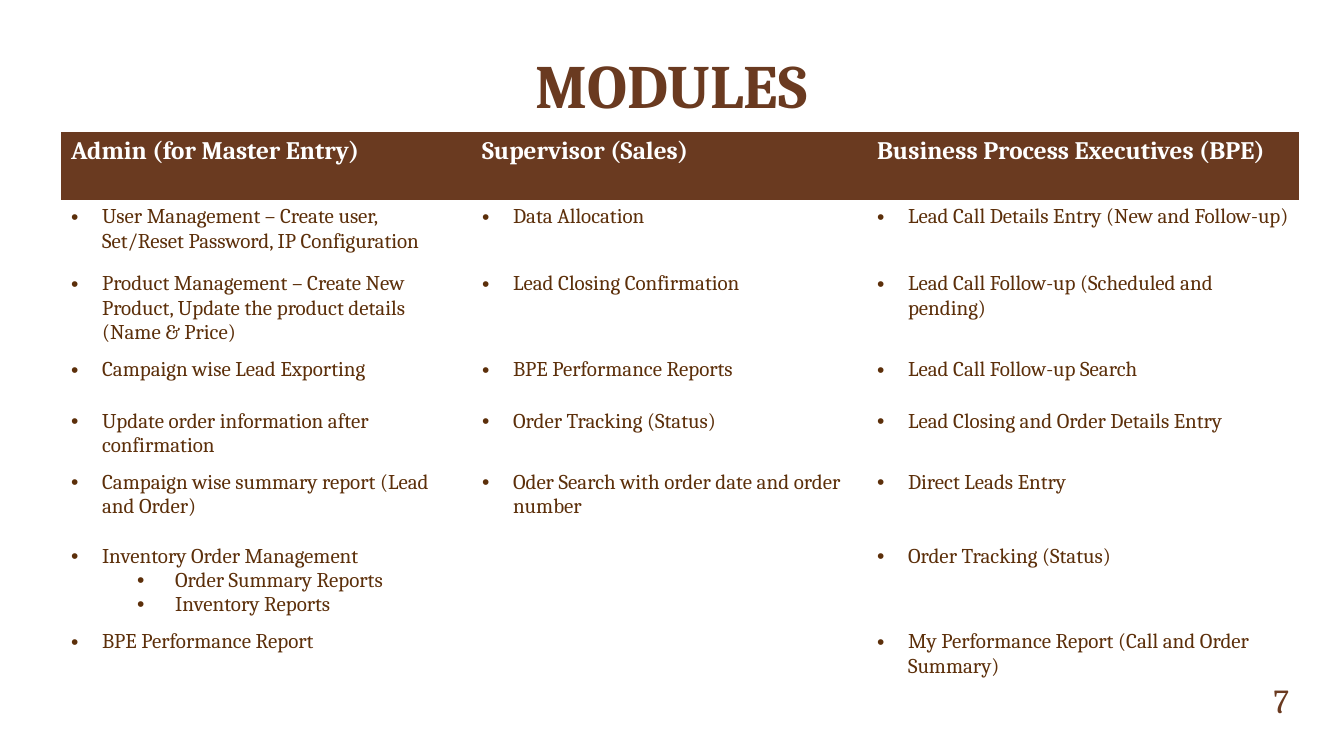
from lxml.etree import SubElement
from pptx import Presentation
from pptx.dml.color import RGBColor
from pptx.enum.text import MSO_ANCHOR, PP_ALIGN
from pptx.oxml.ns import qn
from pptx.util import Emu, Pt

TITLE = "MODULES"
PAGE_NUMBER = "7"
ROLES = ["Admin (for Master Entry)", "Supervisor (Sales)", "Business Process Executives (BPE)"]
# One row of modules per line; a tuple holds a module followed by its sub-modules.
MODULES = [
    ["User Management – Create user, Set/Reset Password, IP Configuration",
     "Data Allocation", "Lead Call Details Entry (New and Follow-up)"],
    ["Product Management – Create New Product, Update the product details (Name & Price)",
     "Lead Closing Confirmation", "Lead Call Follow-up (Scheduled and pending)"],
    ["Campaign wise Lead Exporting", "BPE Performance Reports", "Lead Call Follow-up Search"],
    ["Update order information after confirmation",
     "Order Tracking (Status)", "Lead Closing and Order Details Entry"],
    ["Campaign wise summary report (Lead and Order)",
     "Oder Search with order date and order number", "Direct Leads Entry"],
    [("Inventory Order Management", "Order Summary Reports", "Inventory Reports"),
     "", "Order Tracking (Status)"],
    ["BPE Performance Report", "", "My Performance Report (Call and Order Summary)"],
]

PX = 9071.43  # EMU per px at 100.8 px to the inch
COLUMN_WIDTHS = [411, 395, 432]
ROW_HEIGHTS = [68, 67, 83, 52, 58, 74, 83, 74]
TABLE_LEFT, TABLE_TOP = 61, 132
BULLET_INDENTS = [(31, 31), (104, 38)]  # left margin and hanging indent by level
NO_STYLE = "{2D5ABB26-0587-4C30-8999-92F81FD0307C}"

BROWN, DARK_BROWN, WHITE = "6A3A20", "5C2F0A", "FFFFFF"
TITLE_FORMAT = {"size": Pt(44), "bold": True}
ROLE_FORMAT = {"size": Pt(18), "bold": True}
MODULE_FORMAT = {"size": Pt(15), "bold": False}
PAGE_FORMAT = {"size": Pt(24), "bold": False}


def px(length):
    return Emu(round(length * PX))


def rgb(color):
    return RGBColor.from_string(color)


def write(paragraph, text, font_format, color):
    run = paragraph.add_run()
    run.text = text
    for attribute, value in {"name": "Cambria", **font_format}.items():
        setattr(run.font, attribute, value)
    run.font.color.rgb = rgb(color)


def add_label(slide, box, text, font_format, align, anchor):
    frame = slide.shapes.add_textbox(*map(px, box)).text_frame
    frame.word_wrap = True
    frame.vertical_anchor = anchor
    frame.paragraphs[0].alignment = align
    write(frame.paragraphs[0], text, font_format, BROWN)


def add_bullet(paragraph, level):
    margin, hanging = BULLET_INDENTS[level]
    paragraph.level = level
    properties = paragraph._p.get_or_add_pPr()
    properties.set("marL", str(px(margin)))
    properties.set("indent", str(px(-hanging)))
    SubElement(properties, qn("a:buFont")).set("typeface", "Arial")
    SubElement(properties, qn("a:buChar")).set("char", "•")


def fill_module_cell(cell, modules):
    cell.fill.background()
    lines = modules if isinstance(modules, tuple) else (modules,)
    for index, line in enumerate(lines):
        if line:
            frame = cell.text_frame
            paragraph = frame.add_paragraph() if index else frame.paragraphs[0]
            add_bullet(paragraph, min(index, 1))
            write(paragraph, line, MODULE_FORMAT, DARK_BROWN)


def add_module_table(slide):
    table = slide.shapes.add_table(
        len(ROW_HEIGHTS), len(COLUMN_WIDTHS), px(TABLE_LEFT), px(TABLE_TOP),
        px(sum(COLUMN_WIDTHS)), px(sum(ROW_HEIGHTS))).table
    table.horz_banding = False
    table._tbl.tblPr.find(qn("a:tableStyleId")).text = NO_STYLE
    for column, width in zip(table.columns, COLUMN_WIDTHS):
        column.width = px(width)
    for row, height in zip(table.rows, ROW_HEIGHTS):
        row.height = px(height)
    for column, role in enumerate(ROLES):
        cell = table.cell(0, column)
        cell.fill.solid()
        cell.fill.fore_color.rgb = rgb(BROWN)
        write(cell.text_frame.paragraphs[0], role, ROLE_FORMAT, WHITE)
    for row, row_modules in enumerate(MODULES, start=1):
        for column, modules in enumerate(row_modules):
            fill_module_cell(table.cell(row, column), modules)


def main():
    deck = Presentation()
    deck.slide_width, deck.slide_height = px(1344), px(756)
    slide = deck.slides.add_slide(deck.slide_layouts[6])
    add_label(slide, (134, 29, 1075, 97), TITLE, TITLE_FORMAT, PP_ALIGN.CENTER, MSO_ANCHOR.BOTTOM)
    add_module_table(slide)
    add_label(slide, (1221, 684, 78, 33), PAGE_NUMBER, PAGE_FORMAT, PP_ALIGN.RIGHT, MSO_ANCHOR.MIDDLE)
    deck.save("out.pptx")


if __name__ == "__main__":
    main()
